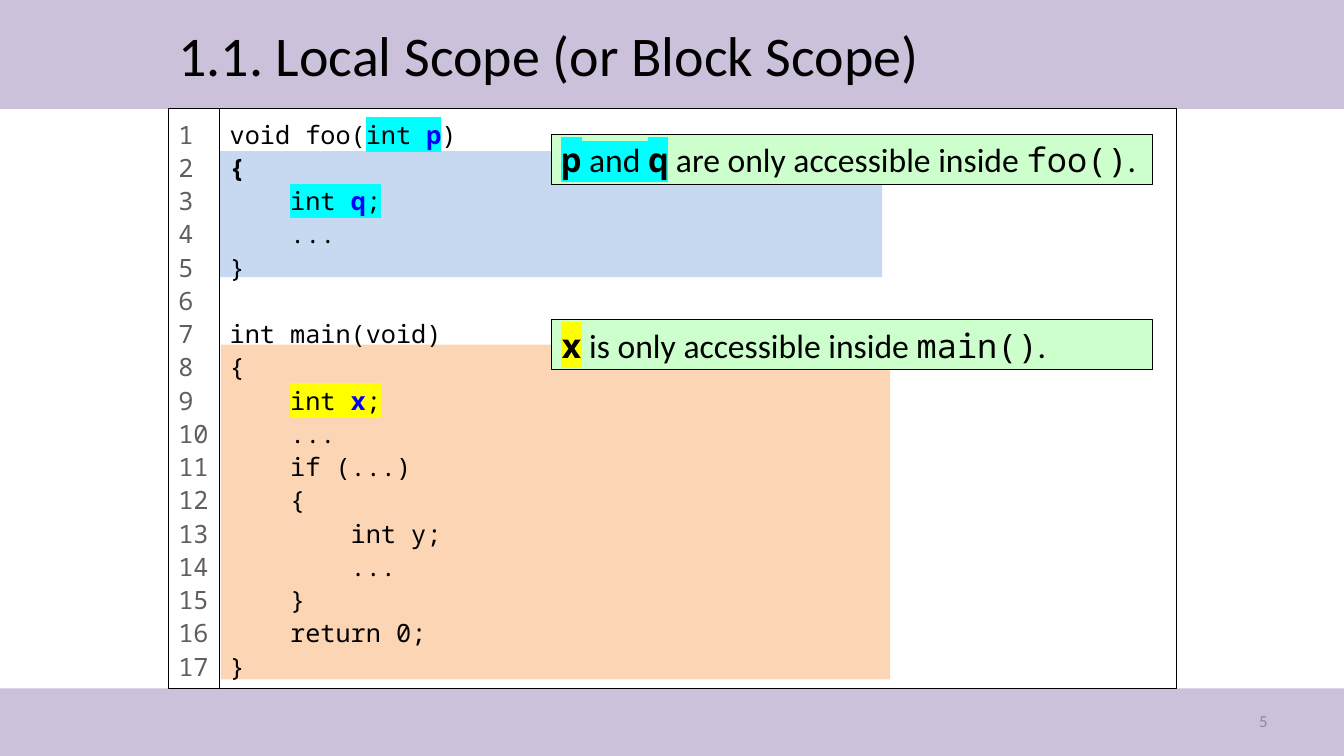
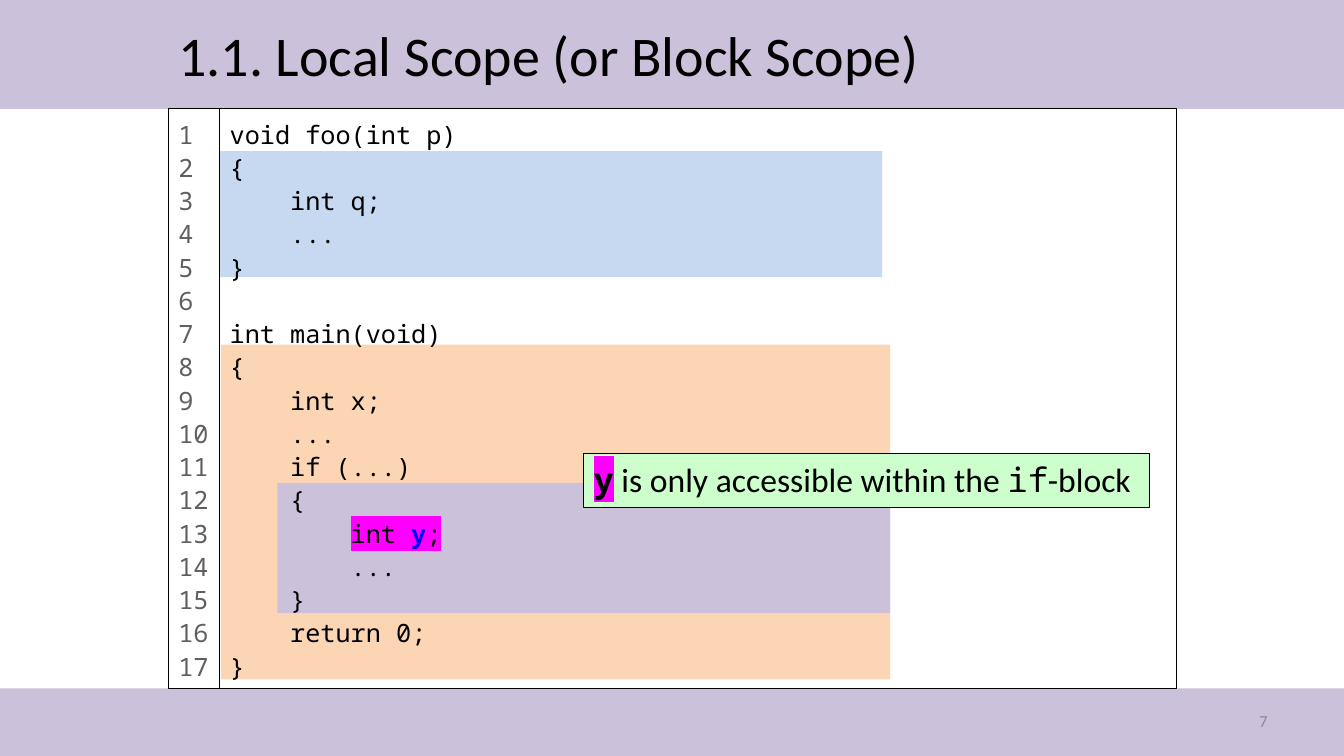
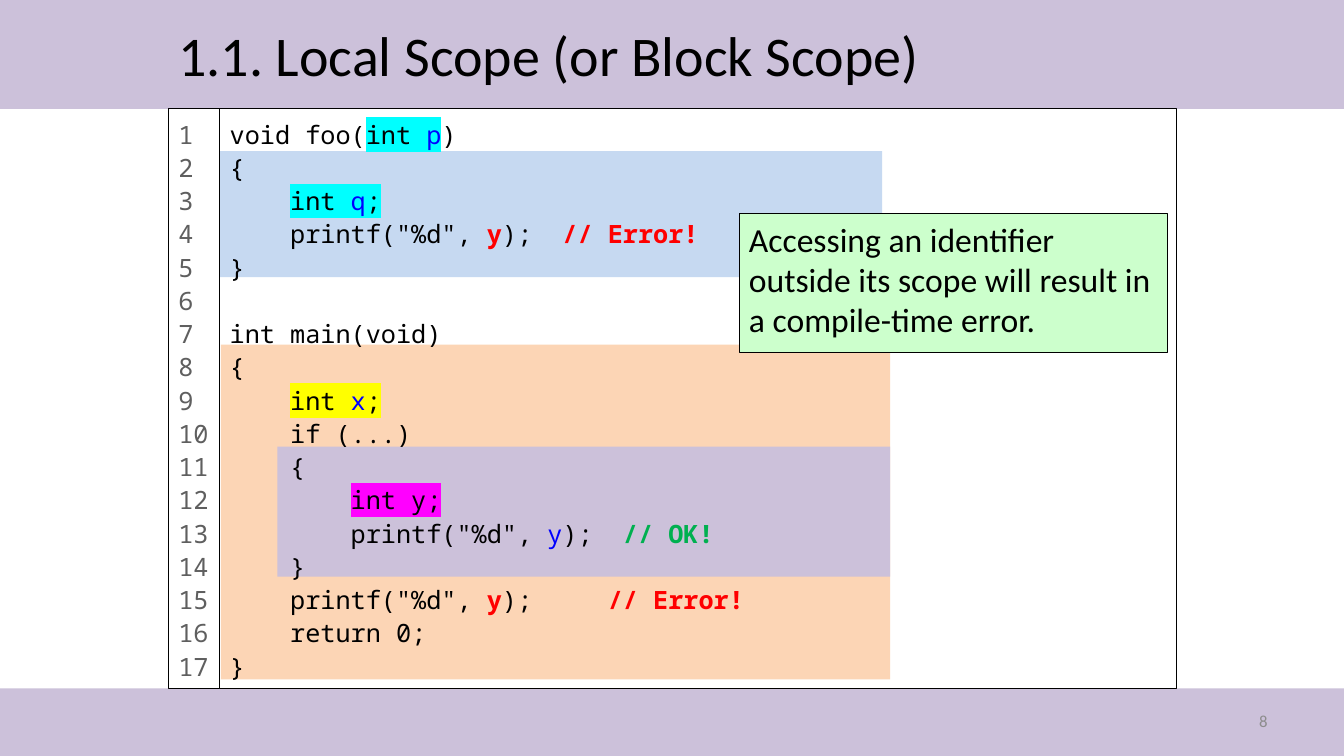
"""Build three slides that explain local scope in C with annotated code."""
from dataclasses import dataclass

from lxml import etree
from pptx import Presentation
from pptx.dml.color import RGBColor
from pptx.enum.shapes import MSO_SHAPE
from pptx.enum.text import MSO_ANCHOR, PP_ALIGN
from pptx.oxml.ns import qn
from pptx.util import Emu, Pt

RECTANGLE = MSO_SHAPE.RECTANGLE
TOP, MIDDLE = MSO_ANCHOR.TOP, MSO_ANCHOR.MIDDLE
LEFT, RIGHT = PP_ALIGN.LEFT, PP_ALIGN.RIGHT
PX = 9144


@dataclass(frozen=True)
class Theme:
    sans: str = "Calibri"
    mono: str = "Noto Sans Mono"
    black: str = "000000"
    white: str = "FFFFFF"
    number_gray: str = "5F5F5F"
    page_gray: str = "8C8C8C"
    band: str = "CCC1DA"
    foo_block: str = "C6D9F1"
    main_block: str = "FCD5B5"
    if_block: str = "CCC1DA"
    callout: str = "CCFFCC"
    blue: str = "0000FF"
    red: str = "FF0000"
    green: str = "00B050"
    cyan: str = "00FFFF"
    yellow: str = "FFFF00"
    magenta: str = "FF00FF"
    title_size: int = 40
    callout_size: int = 24
    code_size: int = 18
    page_size: int = 12
    code_pitch: float = 23.75
    line_width: float = 0.75


THEME = Theme()

STYLES = {
    "text": (THEME.sans, THEME.black, False, None),
    "text cyan": (THEME.sans, THEME.black, False, THEME.cyan),
    "page": (THEME.sans, THEME.page_gray, False, None),
    "number": (THEME.mono, THEME.number_gray, False, None),
    "code": (THEME.mono, THEME.black, False, None),
    "bold": (THEME.mono, THEME.black, True, None),
    "blue": (THEME.mono, THEME.blue, False, None),
    "error": (THEME.mono, THEME.red, True, None),
    "ok": (THEME.mono, THEME.green, True, None),
}
for name in ("cyan", "yellow", "magenta"):
    highlight = getattr(THEME, name)
    STYLES[name] = (THEME.mono, THEME.black, False, highlight)
    STYLES[f"bold {name}"] = (THEME.mono, THEME.black, True, highlight)
    STYLES[f"blue {name}"] = (THEME.mono, THEME.blue, False, highlight)
    STYLES[f"bold blue {name}"] = (THEME.mono, THEME.blue, True, highlight)


def add_box(slide, box, fill=None, outlined=False):
    """Add a plain rectangle at a (left, top, width, height) box in px."""
    shape = slide.shapes.add_shape(RECTANGLE, *(Emu(length * PX) for length in box))
    shape.shadow.inherit = False
    if fill:
        shape.fill.solid()
        shape.fill.fore_color.rgb = RGBColor.from_string(fill)
    else:
        shape.fill.background()
    if outlined:
        shape.line.color.rgb = RGBColor.from_string(THEME.black)
        shape.line.width = Pt(THEME.line_width)
    else:
        shape.line.fill.background()
    return shape


def write_lines(shape, lines, size, style="text", anchor=TOP, align=LEFT,
                pitch=None, margin_top=5, wrap=True):
    """Fill a shape with lines, each a string or a list of (text, style) runs."""
    frame = shape.text_frame
    frame.word_wrap = wrap
    frame.vertical_anchor = anchor
    frame.margin_left = frame.margin_right = Emu(10 * PX)
    frame.margin_top, frame.margin_bottom = Emu(margin_top * PX), Emu(5 * PX)
    for index, line in enumerate(lines):
        paragraph = frame.add_paragraph() if index else frame.paragraphs[0]
        paragraph.alignment = align
        if pitch:
            paragraph.line_spacing = Pt(pitch)
        if not line:
            end = etree.SubElement(paragraph._p, qn("a:endParaRPr"), sz=str(size * 100))
            etree.SubElement(end, qn("a:latin"), typeface=STYLES[style][0])
            continue
        for text, run_style in [(line, style)] if isinstance(line, str) else line:
            typeface, color, bold, highlight = STYLES[run_style]
            run = paragraph.add_run()
            run.text = text
            run.font.size = Pt(size)
            run.font.bold = bold
            run.font.color.rgb = RGBColor.from_string(color)
            if highlight:
                marker = etree.SubElement(run.font._element if hasattr(run.font, "_element")
                                          else run._r.get_or_add_rPr(), qn("a:highlight"))
                etree.SubElement(marker, qn("a:srgbClr"), val=highlight)
            run.font.name = typeface


TITLE = "1.1. Local Scope (or Block Scope)"
TITLE_BOX = (167, 0, 999, 108)
BANDS = [(0, 0, 1333, 108), (0, 683, 1333, 67)]
PAGE_BOX = (956, 695, 311, 40)
CODE_BOX = (218, 108, 949, 575)
NUMBER_BOX = (167, 108, 51, 575)
MAIN_BLOCK = (219, 342, 664, 332)
FOO_BLOCK = (218, 150, 657, 125)
CODE_LINES = 17

PLAIN_CODE = [
    "void foo(int p)",
    "{",
    "    int q;",
    "    ...",
    "}",
    "",
    "int main(void)",
    "{",
    "    int x;",
    "    ...",
    "    if (...)",
    "    {",
    "        int y;",
    "        ...",
    "    }",
    "    return 0;",
    "}",
]

function_code = PLAIN_CODE.copy()
function_code[0] = [("void foo(", "code"), ("int ", "cyan"), ("p", "bold blue cyan"), (")", "code")]
function_code[1] = [("{", "bold")]
function_code[2] = [("    ", "code"), ("int ", "cyan"), ("q", "bold blue cyan"), (";", "cyan")]
function_code[8] = [("    ", "code"), ("int ", "yellow"), ("x", "bold blue yellow"), (";", "yellow")]

block_code = PLAIN_CODE.copy()
block_code[12] = [("        ", "code"), ("int ", "magenta"), ("y", "bold blue magenta"), (";", "magenta")]

error_code = PLAIN_CODE.copy()
error_code[0] = [("void foo(", "code"), ("int ", "cyan"), ("p", "blue cyan"), (")", "code")]
error_code[2] = [("    ", "code"), ("int ", "cyan"), ("q", "blue cyan"), (";", "cyan")]
error_code[3] = [("    printf(\"%d\", ", "code"), ("y", "error"), (");", "code"), ("  // Error!", "error")]
error_code[8:15] = [
    [("    ", "code"), ("int ", "yellow"), ("x", "blue yellow"), (";", "yellow")],
    "    if (...)",
    "    {",
    [("        ", "code"), ("int y;", "magenta")],
    [("        printf(\"%d\", ", "code"), ("y", "blue"), (");  ", "code"), ("// OK!", "ok")],
    "    }",
    [("    printf(\"%d\", ", "code"), ("y", "error"), (");", "code"), ("     // Error!", "error")],
]

SLIDES = [
    {
        "page": "5",
        "code": function_code,
        "if_top": None,
        "callouts": [
            ((547, 133, 596, 50), [
                ("p", "bold cyan"), (" and ", "text cyan"), ("q", "bold cyan"),
                (" are only accessible inside ", "text"), ("foo()", "code"), (".", "text")]),
            ((547, 317, 596, 50), [
                ("x", "bold yellow"), (" is only accessible inside ", "text"),
                ("main()", "code"), (".", "text")]),
        ],
    },
    {
        "page": "7",
        "code": block_code,
        "if_top": 479,
        "callouts": [
            ((579, 450, 561, 54), [
                ("y", "bold magenta"), (" is only accessible within the ", "text"),
                ("if", "code"), ("-block", "text")]),
        ],
    },
    {
        "page": "8",
        "code": error_code,
        "if_top": 443,
        "callouts": [
            ((733, 212, 425, 138),
             "Accessing an identifier outside its scope will result in a compile-time error."),
        ],
    },
]

presentation = Presentation()
presentation.slide_width = Emu(1333 * PX)
presentation.slide_height = Emu(750 * PX)
blank_layout = presentation.slide_layouts[6]

for content in SLIDES:
    slide = presentation.slides.add_slide(blank_layout)
    for band in BANDS:
        add_box(slide, band, THEME.band)
    add_box(slide, MAIN_BLOCK, THEME.main_block)
    if content["if_top"]:
        add_box(slide, (275, content["if_top"], 608, 129), THEME.if_block)
    add_box(slide, FOO_BLOCK, THEME.foo_block)

    page_number = slide.shapes.add_textbox(*(Emu(length * PX) for length in PAGE_BOX))
    write_lines(page_number, [content["page"]], THEME.page_size, "page", MIDDLE, RIGHT)

    code = add_box(slide, CODE_BOX, outlined=True)
    write_lines(code, content["code"], THEME.code_size, "code",
                pitch=THEME.code_pitch, margin_top=7)
    line_numbers = add_box(slide, NUMBER_BOX, THEME.white, outlined=True)
    write_lines(line_numbers, [str(number + 1) for number in range(CODE_LINES)],
                THEME.code_size, "number", pitch=THEME.code_pitch, margin_top=7, wrap=False)

    title = slide.shapes.add_textbox(*(Emu(length * PX) for length in TITLE_BOX))
    write_lines(title, [TITLE], THEME.title_size, anchor=MIDDLE)

    for box, message in content["callouts"]:
        callout = add_box(slide, box, THEME.callout, outlined=True)
        write_lines(callout, [message], THEME.callout_size)

presentation.save("out.pptx")
